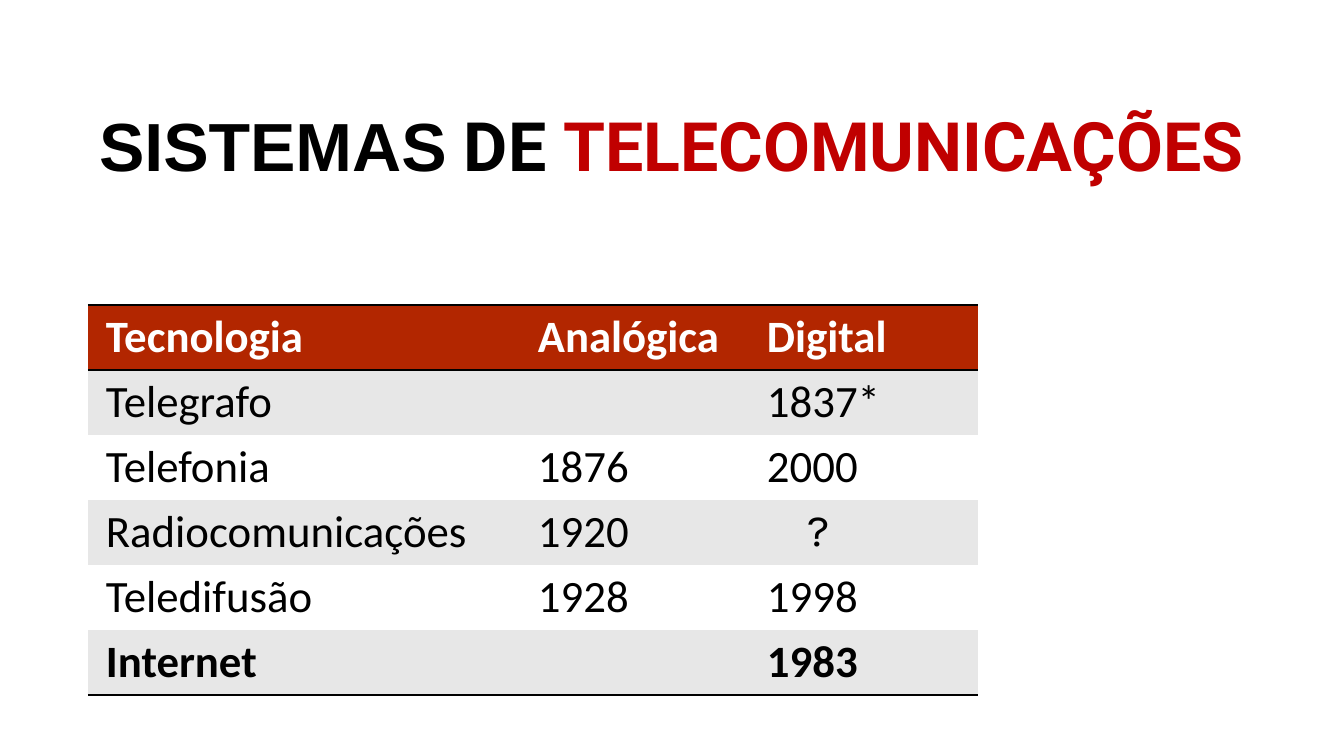
from lxml.etree import SubElement as Sub
from pptx import Presentation
from pptx.dml.color import RGBColor
from pptx.enum.text import MSO_ANCHOR as Anchor, MSO_AUTO_SIZE as Fit, PP_ALIGN as Align
from pptx.oxml.ns import qn
from pptx.util import Pt

BLACK = RGBColor(0x00, 0x00, 0x00)
WHITE = RGBColor(0xFF, 0xFF, 0xFF)
RED = RGBColor(0xC0, 0x00, 0x00)
BRICK = RGBColor(0xB2, 0x26, 0x00)
GREY = RGBColor(0xE7, 0xE7, 0xE7)
PLAIN = "{2D5ABB26-0587-4C30-8999-92F81FD0307C}"

TITLE = [("SISTEMAS", "Arial", BLACK), (" DE ", "Roboto", BLACK),
         ("TELECOMUNICAÇÕES", "Roboto", RED)]
ROWS = [("Tecnologia", "Analógica", "Digital"),
        ("Telegrafo", "", "1837*"),
        ("Telefonia", "1876", "2000"),
        ("Radiocomunicações", "1920", "?"),
        ("Teledifusão", "1928", "1998"),
        ("Internet", "", "1983")]


def px(num):
    """Turn pixels into EMU."""
    return round(num * 914400 / 100.8)


def put(obj, **form):
    """Set each attribute given in form on obj."""
    for key, val in form.items():
        setattr(obj, key, val)


def write(para, text, color, **form):
    """Add a run of text with its font format."""
    run = para.add_run()
    run.text = text
    put(run.font, **form)
    run.font.color.rgb = color


def rule(cell, side):
    """Draw a black line on one side of a cell."""
    line = Sub(cell._tc.get_or_add_tcPr(), qn("a:ln" + side), w=str(Pt(2)))
    fill = Sub(line, qn("a:solidFill"))
    Sub(fill, qn("a:srgbClr"), val=str(BLACK))


def head(slide, left, top, width, height):
    """Place the two-colour title in its box."""
    title = slide.shapes.title
    put(title, left=px(left), top=px(top), width=px(width), height=px(height))
    put(title.text_frame, word_wrap=True, auto_size=Fit.NONE,
        vertical_anchor=Anchor.MIDDLE)
    para = title.text_frame.paragraphs[0]
    put(para, alignment=Align.LEFT, line_spacing=0.9)
    for text, name, color in TITLE:
        write(para, text, color, name=name, size=Pt(48.6), bold=True)


def grid(slide, left, top, width, height):
    """Place the table of technologies and years in its box."""
    last = len(ROWS) - 1
    table = slide.shapes.add_table(len(ROWS), 3, px(left), px(top),
                                   px(width), px(height)).table
    put(table, first_row=False, horz_banding=False)
    table._tbl.tblPr.find(qn("a:tableStyleId")).text = PLAIN
    for col, wide in zip(table.columns, (width - 458, 229, 229)):
        col.width = px(wide)
    for i, row in enumerate(ROWS):
        table.rows[i].height = px(height / len(ROWS))
        sides = "TB" if i == 0 else "B" if i == last else ""
        for j, text in enumerate(row):
            cell = table.cell(i, j)
            for side in sides:
                rule(cell, side)
            cell.fill.solid()
            cell.fill.fore_color.rgb = BRICK if i == 0 else GREY if i % 2 else WHITE
            mark = text == "?"
            cell.margin_left = px(59 if mark else 18)
            if text:
                write(cell.text_frame.paragraphs[0], text, BLACK if i else WHITE,
                      name="Karla" if mark else "Calibri", size=Pt(32),
                      bold=i in (0, last))


def main():
    """Build and save the slide."""
    deck = Presentation()
    put(deck, slide_width=px(1344), slide_height=px(756))
    slide = deck.slides.add_slide(deck.slide_layouts[5])
    head(slide, 89, 76, 1167, 146)
    grid(slide, 88, 305, 890, 390)
    deck.save("out.pptx")


main()
